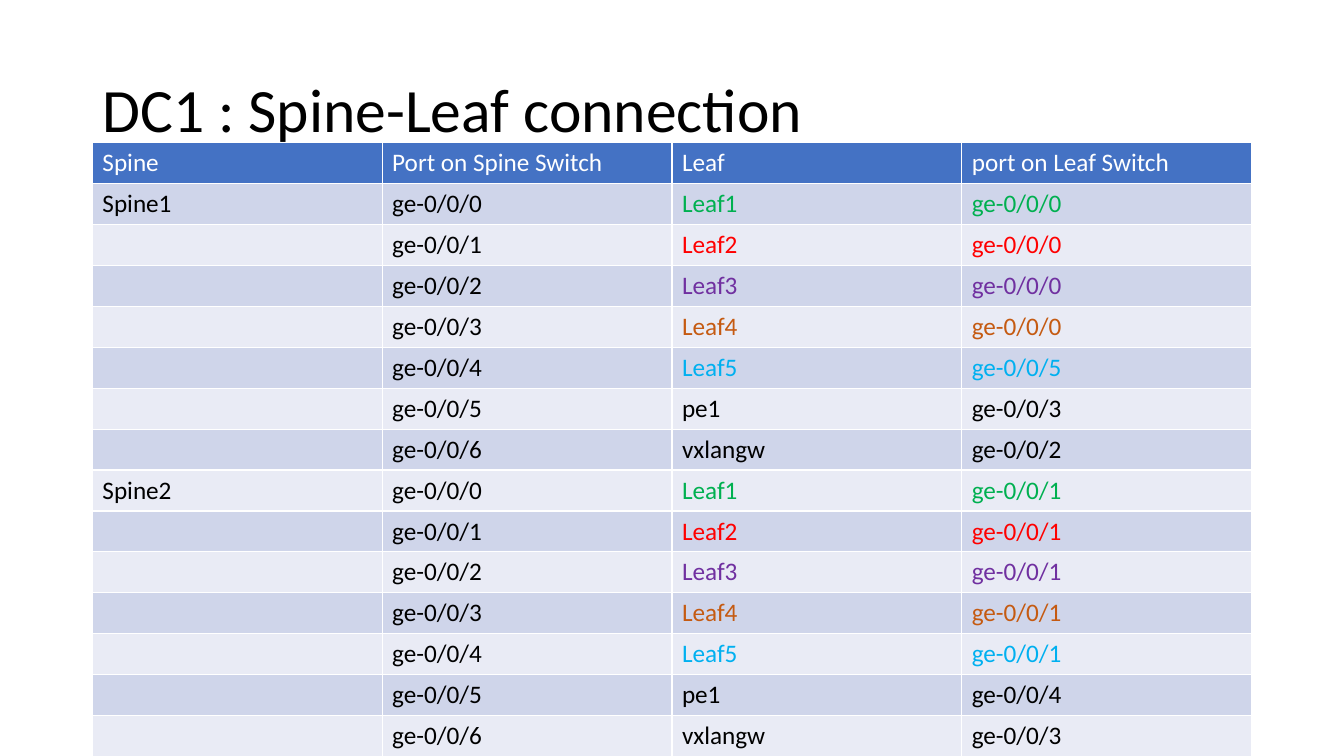
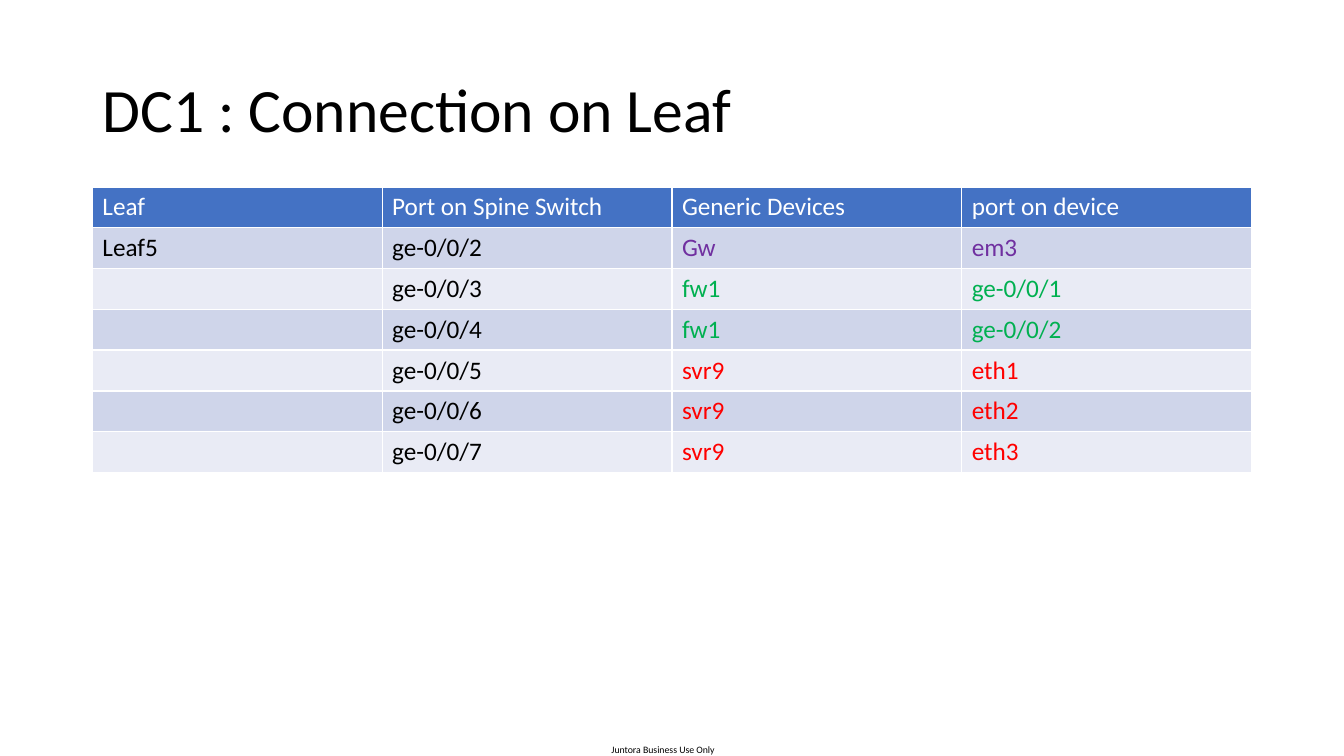
"""Build two slides that list the switch port connections of DC1."""
from dataclasses import dataclass
from typing import Any

import pptx
import pptx.dml.color
import pptx.enum.text
import pptx.oxml
import pptx.oxml.ns
import pptx.util

RGB = pptx.dml.color.RGBColor
WHITE = RGB(0xFF, 0xFF, 0xFF)
BLACK = RGB(0x00, 0x00, 0x00)
HEADER_BLUE = RGB(0x44, 0x72, 0xC4)
BAND_DARK = RGB(0xCF, 0xD5, 0xEA)
BAND_LIGHT = RGB(0xE9, 0xEB, 0xF5)
GREEN = RGB(0x00, 0xB0, 0x50)
RED = RGB(0xFF, 0x00, 0x00)
PURPLE = RGB(0x70, 0x30, 0xA0)
ORANGE = RGB(0xC5, 0x5A, 0x11)
SKY = RGB(0x00, 0xB0, 0xF0)

PEER_COLORS = {
    "Leaf1": GREEN, "Leaf2": RED, "Leaf3": PURPLE, "Leaf4": ORANGE, "Leaf5": SKY,
    "Gw": PURPLE, "fw1": GREEN, "svr9": RED,
}
FONT = "Calibri"
PX = 9525
SLIDE_W, SLIDE_H = 1280, 720
LEFT, COL_W, COLS = 88, 276, 4
HEADER_H, ROW_H = 38, 39
TITLE_BOX = (LEFT, 38, COL_W * COLS, 139)
FOOTER_BOX = (581, 708, 101, 12)


@dataclass(frozen=True)
class Link:
    """One cable from a switch port to a port on its peer."""
    owner: str
    port: str
    peer: str
    peer_port: str


@dataclass(frozen=True)
class TableSlide:
    """A titled slide with one connection table."""
    title: str
    top: int
    header: tuple[str, ...]
    links: list[Link]
    footer: str = ""


def ge(number: int) -> str:
    """Name a gigabit port."""
    return f"ge-0/0/{number}"


def make_links(owner: str, first_port: int, ends: list[tuple[str, str]]) -> list[Link]:
    """Number the owner's ports in order and name the owner on the first row only."""
    return [Link("" if i else owner, ge(first_port + i), peer, peer_port)
            for i, (peer, peer_port) in enumerate(ends)]


SPINE_PEERS = ("Leaf1", "Leaf2", "Leaf3", "Leaf4", "Leaf5", "pe1", "vxlangw")
SPINE_PORTS = {"Spine1": (0, 0, 0, 0, 5, 3, 2), "Spine2": (1, 1, 1, 1, 1, 4, 3)}
SLIDES = (
    TableSlide(
        "DC1 : Spine-Leaf connection", 136,
        ("Spine", "Port on Spine Switch", "Leaf", "port on Leaf Switch"),
        [link for spine, ports in SPINE_PORTS.items()
         for link in make_links(spine, 0, list(zip(SPINE_PEERS, map(ge, ports))))],
    ),
    TableSlide(
        "DC1 : Connection on Leaf", 178,
        ("Leaf", "Port on Spine Switch", "Generic Devices", "port on device"),
        make_links("Leaf5", 2, [
            ("Gw", "em3"), ("fw1", ge(1)), ("fw1", ge(2)),
            ("svr9", "eth1"), ("svr9", "eth2"), ("svr9", "eth3"),
        ]),
        "Juntora Business Use Only",
    ),
)


def set_attrs(target: Any, values: dict[str, Any]) -> None:
    """Set each named attribute on the target."""
    for name, value in values.items():
        setattr(target, name, value)


def place(sp: Any, box: tuple[int, int, int, int]) -> None:
    """Move and size a shape, in px."""
    set_attrs(sp, {name: value * PX
                   for name, value in zip(("left", "top", "width", "height"), box)})


def write(tf: Any, text: str, size: int, color: RGB) -> Any:
    """Write one formatted run and return its paragraph."""
    p = tf.paragraphs[0]
    r = p.add_run()
    r.text = text
    set_attrs(r.font, {"name": FONT, "size": pptx.util.Pt(size), "bold": False})
    r.font.color.rgb = color
    return p


def add_title(s: Any, text: str) -> None:
    """Fill the title placeholder."""
    sp = s.shapes.title
    place(sp, TITLE_BOX)
    tf = sp.text_frame
    set_attrs(tf, {
        "word_wrap": True,
        "vertical_anchor": pptx.enum.text.MSO_ANCHOR.MIDDLE,
        "auto_size": pptx.enum.text.MSO_AUTO_SIZE.NONE,
    })
    p = write(tf, text, 44, BLACK)
    set_attrs(p, {"alignment": pptx.enum.text.PP_ALIGN.LEFT, "line_spacing": 0.9})


def add_footer(s: Any, text: str) -> None:
    """Add the small centred classification line."""
    sp = s.shapes.add_textbox(*(value * PX for value in FOOTER_BOX))
    tf = sp.text_frame
    set_attrs(tf, {"margin_left": 0, "margin_top": 0, "margin_right": 0,
                   "margin_bottom": 0, "word_wrap": False})
    write(tf, text, 7, BLACK).alignment = pptx.enum.text.PP_ALIGN.CENTER


def style_cell(cell: Any, text: str, fill: RGB, color: RGB) -> None:
    """Give a cell white borders, a fill and its text."""
    tc_pr = cell._tc.get_or_add_tcPr()
    for side in "LRTB":
        tc_pr.append(pptx.oxml.parse_xml(
            f'<a:ln{side} {pptx.oxml.ns.nsdecls("a")} w="12700"><a:solidFill>'
            f'<a:srgbClr val="{WHITE}"/></a:solidFill></a:ln{side}>'))
    cell.fill.solid()
    cell.fill.fore_color.rgb = fill
    if text:
        write(cell.text_frame, text, 18, color)


def add_links_table(s: Any, item: TableSlide) -> None:
    """Add the banded table, colouring each peer and its port alike."""
    height = HEADER_H + ROW_H * len(item.links)
    box = (LEFT, item.top, COL_W * COLS, height)
    table = s.shapes.add_table(len(item.links) + 1, COLS,
                               *(value * PX for value in box)).table
    for column in table.columns:
        column.width = COL_W * PX
    for i, row in enumerate(table.rows):
        row.height = (ROW_H if i else HEADER_H) * PX
    for cell, text in zip(table.rows[0].cells, item.header):
        style_cell(cell, text, HEADER_BLUE, WHITE)
    for i, link in enumerate(item.links, 1):
        fill = BAND_DARK if i % 2 else BAND_LIGHT
        peer_color = PEER_COLORS.get(link.peer, BLACK)
        values = ((link.owner, BLACK), (link.port, BLACK),
                  (link.peer, peer_color), (link.peer_port, peer_color))
        for cell, (text, color) in zip(table.rows[i].cells, values):
            style_cell(cell, text, fill, color)


def main() -> None:
    """Build and save the presentation."""
    prs = pptx.Presentation()
    set_attrs(prs, {"slide_width": SLIDE_W * PX, "slide_height": SLIDE_H * PX})
    for item in SLIDES:
        s = prs.slides.add_slide(prs.slide_layouts[5])
        if item.footer:
            add_footer(s, item.footer)
        add_title(s, item.title)
        add_links_table(s, item)
    prs.save("out.pptx")


if __name__ == "__main__":
    main()
